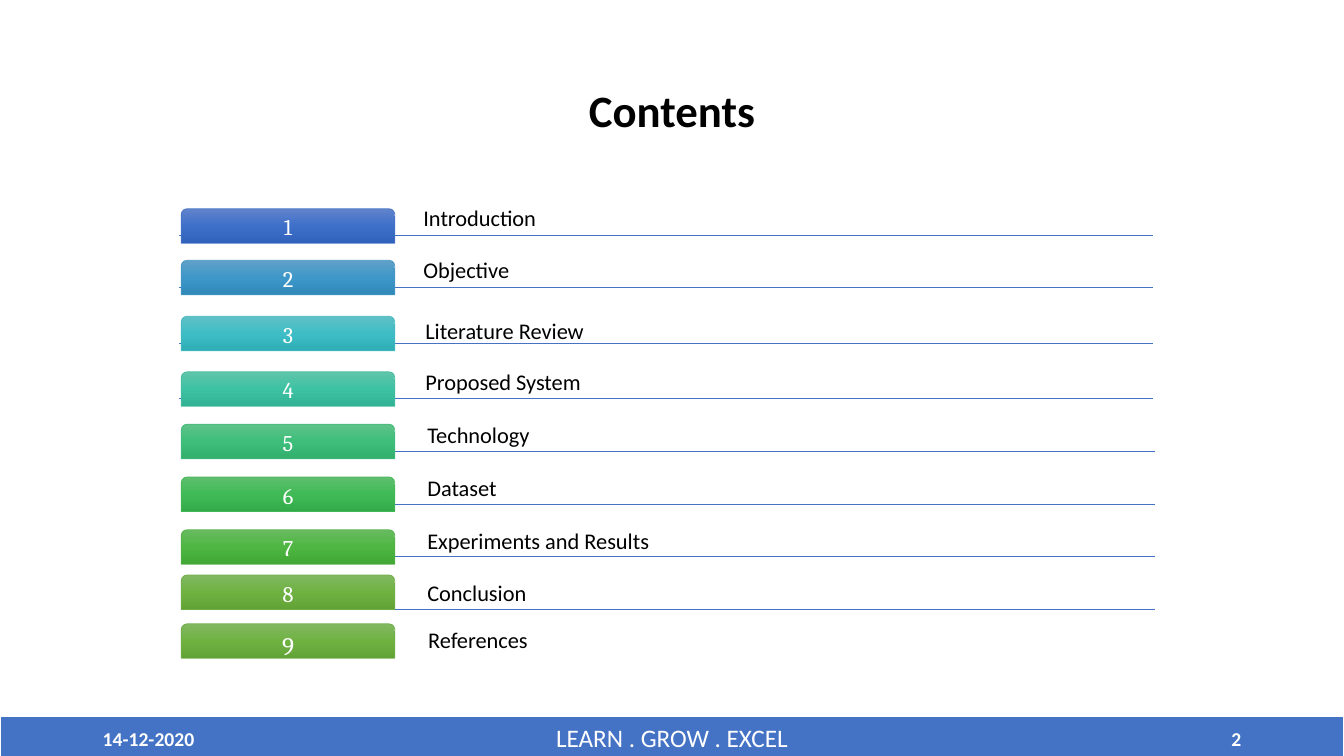
from copy import deepcopy
from dataclasses import dataclass

from pptx import Presentation
from pptx.dml.color import RGBColor
from pptx.enum.shapes import MSO_CONNECTOR, MSO_SHAPE
from pptx.enum.text import MSO_ANCHOR, PP_ALIGN
from pptx.oxml.ns import qn
from pptx.oxml.xmlchemy import OxmlElement
from pptx.util import Cm, Pt

RECTANGLE, TAB_SHAPE = MSO_SHAPE.RECTANGLE, MSO_SHAPE.ROUND_2_SAME_RECTANGLE
STRAIGHT = MSO_CONNECTOR.STRAIGHT
TOP, MIDDLE, BOTTOM = MSO_ANCHOR.TOP, MSO_ANCHOR.MIDDLE, MSO_ANCHOR.BOTTOM
LEFT, CENTER, RIGHT = PP_ALIGN.LEFT, PP_ALIGN.CENTER, PP_ALIGN.RIGHT


@dataclass(frozen=True)
class Theme:
    accent: str = "4472C4"
    dark: str = "000000"
    light: str = "FFFFFF"
    body_font: str = "Calibri"
    number_font: str = "Cambria"
    title_size: int = 32
    footer_size: int = 18
    item_size: int = 16
    small_size: int = 14


THEME = Theme()
SLIDE_WIDTH, SLIDE_HEIGHT = 33.87, 19.05
TAB_WIDTH, TAB_HEIGHT = 5.38, 0.87
LABEL_WIDTH, LABEL_HEIGHT = 18.2, 1.2
RULE_WIDTH = 24.54
LIST_BOX = (4.57, 5.26)

# Label, tab top, rule, label bottom (from the top of the list), label left,
# rule left (from its left edge), and gradient and outline colours of the tab
ITEMS = [
    ("Introduction", 0, 0.66, 0.63, 6.02, -0.05, "6183CB 3E70CA 3062BB", "4472C4"),
    ("Objective", 1.3, 1.97, 1.95, 6.02, -0.05, "61A1C9 3D97C8 3089B9", "4496C1"),
    ("Literature Review", 2.71, 3.4, 3.5, 6.07, -0.05, "61C0C6 3DBDC5 2FAEB6", "43B8BF"),
    ("Proposed System", 4.11, 4.79, 4.77, 6.07, -0.05, "60C4AA 3DC2A3 31B294", "43BCA0"),
    ("Technology", 5.43, 6.12, 6.12, 6.12, 0, "60C28A 3EBE7B 32AE6D", "44B97B"),
    ("Dataset", 6.76, 7.45, 7.45, 6.12, 0, "60BF6E 3FBA56 33AB49", "45B559"),
    ("Experiments and Results", 8.09, 8.77, 8.79, 6.12, 0, "69BB61 4EB641 41A735", "52B146"),
    ("Conclusion", 9.23, 10.1, 10.1, 6.12, 0, "81B861 6FB242 62A336", "70AD47"),
    ("References", 10.46, None, 11.27, 6.14, 0, "81B861 6FB242 62A336", "70AD47"),
]


def color(value):
    return RGBColor.from_string(value)


def write(shape, text, size, ink, font=THEME.body_font, align=LEFT,
          anchor=MIDDLE, bold=False, margin=None):
    frame = shape.text_frame
    frame.text = text
    frame.word_wrap = True
    frame.vertical_anchor = anchor
    if margin is not None:
        frame.margin_left = frame.margin_right = Cm(margin)
        frame.margin_top = frame.margin_bottom = Cm(margin)
    paragraph = frame.paragraphs[0]
    paragraph.alignment = align
    run_font = paragraph.runs[0].font
    run_font.name, run_font.size, run_font.bold = font, Pt(size), bold
    run_font.color.rgb = color(ink)


def add_text(slide, box, text, size, ink, **style):
    write(slide.shapes.add_textbox(*map(Cm, box)), text, size, ink, **style)


def add_title(slide, box):
    title = slide.shapes.title
    title.left, title.top, title.width, title.height = map(Cm, box)
    write(title, "Contents", THEME.title_size, THEME.dark, align=CENTER, bold=True)
    title.text_frame.paragraphs[0].line_spacing = 0.9


def add_rule(slide, left, top):
    rule = slide.shapes.add_connector(
        STRAIGHT, Cm(left), Cm(top), Cm(left + RULE_WIDTH), Cm(top))
    rule.line.color.rgb = color(THEME.accent)
    rule.line.width = Pt(0.5)
    rule.element.spPr.append(OxmlElement("a:effectLst"))


def add_tab(slide, left, top, gradient, outline):
    tab = slide.shapes.add_shape(
        TAB_SHAPE, Cm(left), Cm(top), Cm(TAB_WIDTH), Cm(TAB_HEIGHT))
    tab.shadow.inherit = False
    tab.line.color.rgb = color(outline)
    tab.line.width = Pt(0.5)
    tab.fill.gradient()
    tab.fill.gradient_angle = 270
    stop_list = next(tab.element.spPr.iter(qn("a:gsLst")))
    stop_list.insert(1, deepcopy(stop_list[0]))
    for stop, position, value in zip(tab.fill.gradient_stops, (0, 0.5, 1), gradient.split()):
        stop.position = position
        stop.color.rgb = color(value)
    return tab


def add_contents(slide, box):
    left, top = box
    # Rules lie behind the tabs
    for _, _, rule_top, _, _, rule_left, _, _ in ITEMS:
        if rule_top is not None:
            add_rule(slide, left + rule_left, top + rule_top)
    # Numbered tabs and their labels
    for number, item in enumerate(ITEMS, 1):
        label, tab_top, _, label_bottom, label_left, _, gradient, outline = item
        tab = add_tab(slide, left, top + tab_top, gradient, outline)
        last = number == len(ITEMS)
        write(tab, str(number), THEME.footer_size if last else THEME.item_size,
              THEME.light, font=THEME.number_font, align=CENTER,
              anchor=TOP if last else MIDDLE, margin=0.13 if last else 0.08)
        label_box = (left + label_left, top + label_bottom - LABEL_HEIGHT,
                     LABEL_WIDTH, LABEL_HEIGHT)
        add_text(slide, label_box, label, THEME.item_size, THEME.dark,
                 anchor=BOTTOM, margin=0.08)


def add_footer(slide, box):
    left, top, width, height = box
    bar = slide.shapes.add_shape(RECTANGLE, *map(Cm, box))
    bar.shadow.inherit = False
    bar.fill.solid()
    bar.fill.fore_color.rgb = color(THEME.accent)
    bar.line.color.rgb = color(THEME.light)
    bar.line.width = Pt(1.5)
    write(bar, "LEARN . GROW . EXCEL", THEME.footer_size, THEME.light, align=CENTER)
    # Date and page number
    inset, note_width = 2.34, 7.62
    for note_left, text, align in (
            (left + inset, "14-12-2020", LEFT),
            (left + width - inset - note_width, "2", RIGHT)):
        add_text(slide, (note_left, top + 0.08, note_width, 1.02), text,
                 THEME.small_size, THEME.light, align=align, bold=True)


def main():
    presentation = Presentation()
    presentation.slide_width, presentation.slide_height = Cm(SLIDE_WIDTH), Cm(SLIDE_HEIGHT)
    slide = presentation.slides.add_slide(presentation.slide_layouts[5])
    add_footer(slide, (0, 18.03, SLIDE_WIDTH, 1.12))
    add_title(slide, (2.33, 1.01, 29.21, 3.68))
    add_contents(slide, LIST_BOX)
    presentation.save("out.pptx")


if __name__ == "__main__":
    main()
